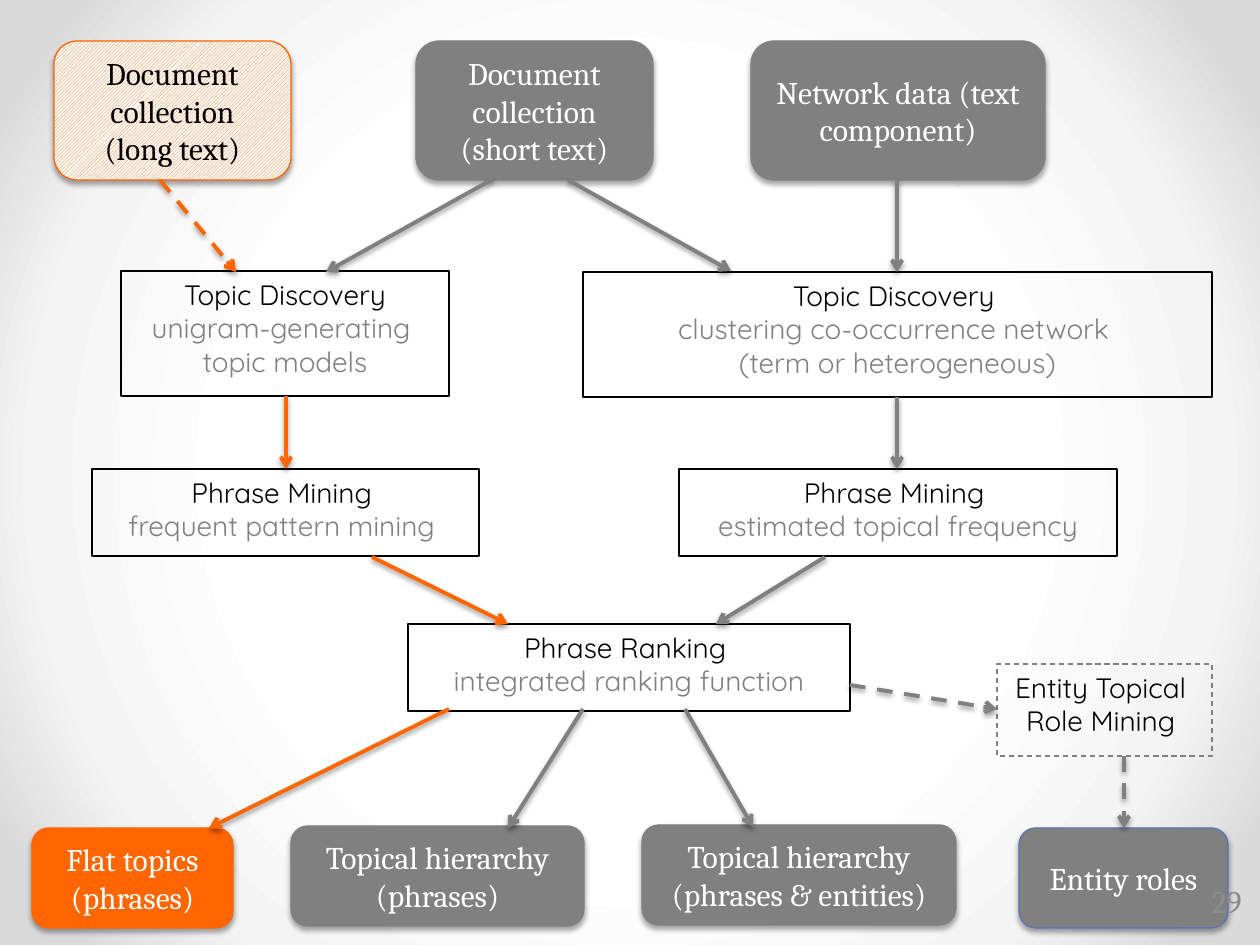
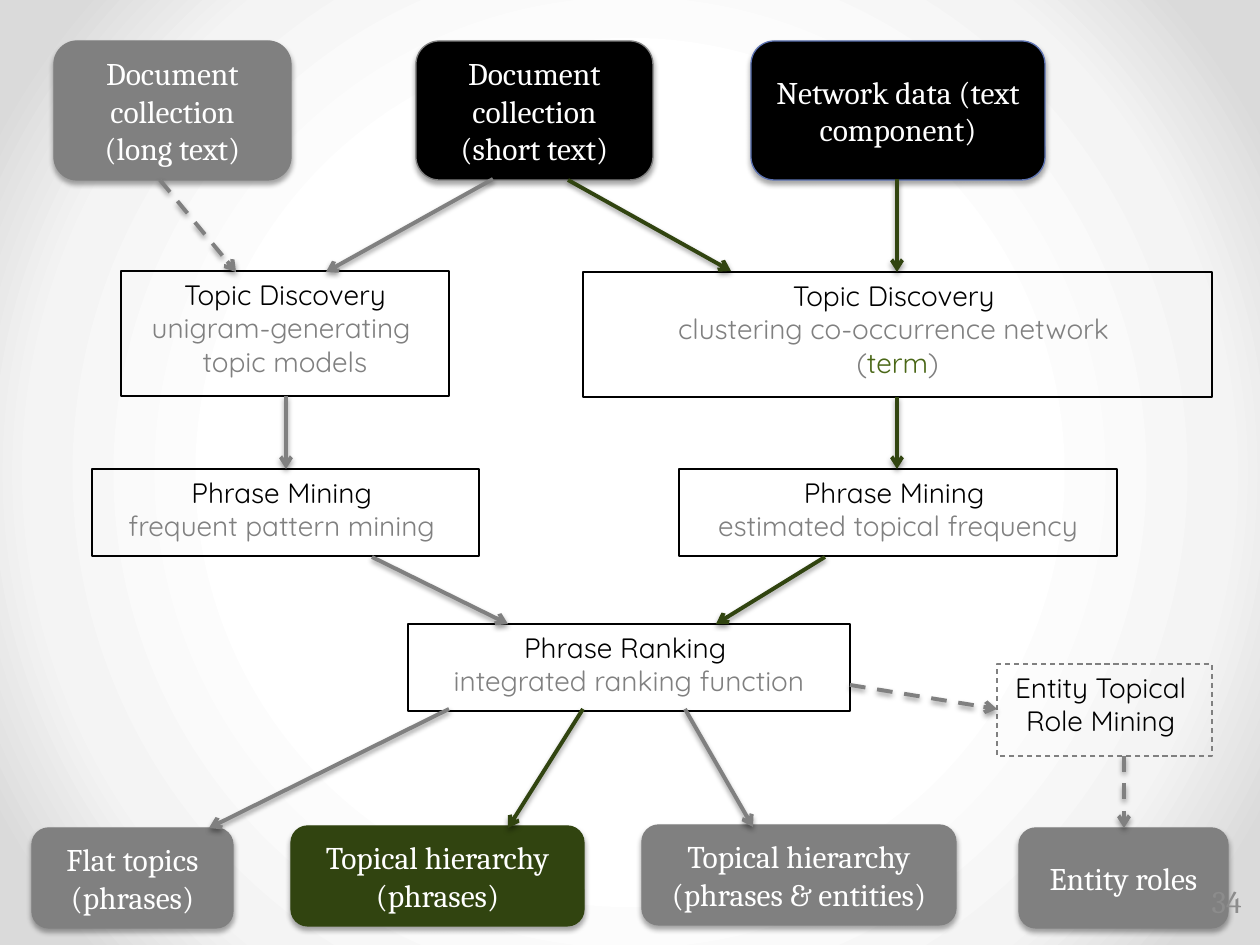
from dataclasses import dataclass

from pptx import Presentation
from pptx.dml.color import RGBColor
from pptx.enum.dml import MSO_LINE, MSO_PATTERN
from pptx.enum.shapes import MSO_CONNECTOR, MSO_SHAPE
from pptx.enum.text import MSO_ANCHOR, PP_ALIGN
from pptx.oxml import parse_xml
from pptx.oxml.ns import nsdecls, qn
from pptx.util import Emu, Pt

BLACK = RGBColor(0x00, 0x00, 0x00)
WHITE = RGBColor(0xFF, 0xFF, 0xFF)
GRAY = RGBColor(0x80, 0x80, 0x80)
NUMBER_GRAY = RGBColor(0x8C, 0x8C, 0x8C)
ORANGE = RGBColor(0xFF, 0x66, 0x00)
DARK_GREEN = RGBColor(0x31, 0x44, 0x10)
GREEN = RGBColor(0x4A, 0x67, 0x17)
BLUE = RGBColor(0x5C, 0x72, 0xB2)
SERIF = "Cambria"
SANS = "Quicksand"
BACKGROUND_STOPS = [(50, WHITE), (76, RGBColor(0xF4, 0xF4, 0xF4)), (92, RGBColor(0xDA, 0xDA, 0xDA))]


@dataclass(frozen=True)
class Box:
    """A rectangle in px."""
    left: int
    top: int
    width: int
    height: int

    def inside(self, left, top, width, height):
        """Return a box whose offset is measured from this one."""
        return Box(self.left + left, self.top + top, width, height)

    def emu(self):
        """Return the four lengths in EMU."""
        return [px(value) for value in (self.left, self.top, self.width, self.height)]


@dataclass(frozen=True)
class Look:
    """Colours of a rounded node."""
    fill: RGBColor = GRAY
    line: RGBColor = GRAY
    text: RGBColor = WHITE
    hatched: bool = False


SLIDE = Box(0, 0, 1260, 945)
SOURCES = Box(54, 41, 991, 139)
METHODS = Box(92, 271, 1121, 485)
RESULTS = Box(33, 825, 1195, 103)
NUMBER = Box(1177, 876, 77, 50)

SOURCE_NODES = {
    "long text": (0, 237, "Document collection (long text)"),
    "network": (697, 294, "Network data (text component)"),
    "short text": (362, 237, "Document collection (short text)"),
}
RESULT_NODES = {
    "hierarchy": (258, 1, 293, ["Topical hierarchy", "(phrases)"]),
    "flat": (-1, 3, 201, ["Flat topics", "(phrases)"]),
    "entity hierarchy": (609, 0, 314, ["Topical hierarchy", "(phrases & entities)"]),
    "roles": (986, 3, 209, ["Entity roles"]),
}
ARROWS = {
    "long to unigram": (160, 180, 236, 272),
    "short to unigram": (493, 179, 326, 272),
    "short to clustering": (568, 180, 731, 271),
    "network to clustering": (897, 179, 897, 272),
    "unigram to pattern": (286, 396, 286, 469),
    "clustering to frequency": (897, 397, 897, 469),
    "pattern to ranking": (372, 557, 508, 624),
    "frequency to ranking": (825, 557, 716, 624),
    "ranking to flat": (449, 709, 209, 828),
    "ranking to hierarchy": (583, 709, 508, 828),
    "ranking to entity hierarchy": (685, 709, 753, 827),
    "ranking to role mining": (850, 685, 997, 709),
    "role mining to roles": (1124, 756, 1124, 828),
}
DASHED_ARROWS = {"long to unigram", "ranking to role mining", "role mining to roles"}


@dataclass(frozen=True)
class Route:
    """What one slide highlights in the shared diagram."""
    number: str
    accent: RGBColor
    arrows: set
    looks: dict
    clustering_scope: list


ROUTES = [
    Route("29", ORANGE,
          {"long to unigram", "unigram to pattern", "pattern to ranking", "ranking to flat"},
          {"long text": Look(ORANGE, ORANGE, BLACK, hatched=True),
           "flat": Look(ORANGE, ORANGE),
           "roles": Look(line=BLUE)},
          [("(term or heterogeneous)", GRAY)]),
    Route("34", DARK_GREEN,
          {"short to clustering", "network to clustering", "clustering to frequency",
           "frequency to ranking", "ranking to hierarchy"},
          {"short text": Look(BLACK, GRAY),
           "network": Look(BLACK, BLUE),
           "hierarchy": Look(DARK_GREEN, DARK_GREEN)},
          [("(", GRAY), ("term", GREEN), (")", GRAY)]),
]


def px(value):
    """Turn px into EMU."""
    return Emu(round(value * 914400 / 126))


def write(shape, paragraphs, font, size, alignment, anchor):
    """Fill a shape with paragraphs made of (text, colour) runs."""
    frame = shape.text_frame
    frame.word_wrap = True
    frame.vertical_anchor = anchor
    for index, runs in enumerate(paragraphs):
        paragraph = frame.add_paragraph() if index else frame.paragraphs[0]
        paragraph.alignment = alignment
        for text, color in runs:
            run = paragraph.add_run()
            run.text = text
            run.font.name = font
            run.font.size = Pt(size)
            run.font.color.rgb = color


def add_shadow(shape, opacity, distance):
    """Add a soft shadow straight below the shape."""
    shape.element.spPr.append(parse_xml(
        f'<a:effectLst {nsdecls("a")}><a:outerShdw blurRad="{Pt(3.1)}" dist="{Pt(distance)}" '
        f'dir="5400000" rotWithShape="0"><a:srgbClr val="{BLACK}">'
        f'<a:alpha val="{opacity * 1000}"/></a:srgbClr></a:outerShdw></a:effectLst>'))


def paint_background(slide):
    """Give the slide a circular gradient from white to gray."""
    slide.background.fill.gradient()
    gradient = slide.element.xpath(".//p:bgPr/a:gradFill")[0]
    stops = "".join(f'<a:gs pos="{position * 1000}"><a:srgbClr val="{color}"/></a:gs>'
                    for position, color in BACKGROUND_STOPS)
    gradient.getparent().replace(gradient, parse_xml(
        f'<a:gradFill {nsdecls("a")} rotWithShape="1"><a:gsLst>{stops}</a:gsLst>'
        '<a:path path="circle"><a:fillToRect l="50000" t="50000" r="50000" b="50000"/>'
        '</a:path></a:gradFill>'))


def add_node(slide, box, lines, look):
    """Draw a rounded data node with a shadow."""
    shape = slide.shapes.add_shape(MSO_SHAPE.ROUNDED_RECTANGLE, *box.emu())
    if look.hatched:
        shape.fill.patterned()
        shape.fill.pattern = MSO_PATTERN.LIGHT_UPWARD_DIAGONAL
        shape.fill.fore_color.rgb = look.fill
        shape.fill.back_color.rgb = WHITE
    else:
        shape.fill.solid()
        shape.fill.fore_color.rgb = look.fill
    shape.line.color.rgb = look.line
    shape.line.width = Pt(0.75)
    add_shadow(shape, 35, 1.8)
    write(shape, [[(line, look.text)] for line in lines], SERIF, 18,
          PP_ALIGN.CENTER, MSO_ANCHOR.MIDDLE)


def add_method(slide, box, paragraphs, dashed=False):
    """Draw an outlined method box."""
    shape = slide.shapes.add_shape(MSO_SHAPE.RECTANGLE, *box.emu())
    shape.shadow.inherit = False
    shape.fill.background()
    shape.line.color.rgb = GRAY if dashed else BLACK
    shape.line.width = Pt(0.75)
    if dashed:
        shape.line.dash_style = MSO_LINE.DASH
    write(shape, paragraphs, SANS, 16, PP_ALIGN.CENTER, MSO_ANCHOR.TOP)


def draw_sources(slide, box, route):
    """Draw the row of input data."""
    for name, (left, width, text) in SOURCE_NODES.items():
        add_node(slide, box.inside(left, 0, width, box.height), [text],
                 route.looks.get(name, Look()))


def draw_methods(slide, box, route):
    """Draw the mining steps between inputs and results."""
    discovery = ("Topic Discovery ", BLACK)
    mining = [("Phrase Mining ", BLACK)]
    add_method(slide, box.inside(29, 0, 328, 125),
               [[discovery, ("unigram-generating ", GRAY)], [("topic models", GRAY)]])
    add_method(slide, box.inside(491, 1, 629, 125),
               [[discovery], [("clustering co-occurrence network ", GRAY)], route.clustering_scope])
    add_method(slide, box.inside(0, 198, 387, 87),
               [mining, [("frequent pattern mining ", GRAY)]])
    add_method(slide, box.inside(587, 198, 438, 87),
               [mining, [("estimated topical frequency", GRAY)]])
    add_method(slide, box.inside(316, 353, 442, 87),
               [[("Phrase Ranking ", BLACK)], [("integrated ranking function", GRAY)]])
    add_method(slide, box.inside(905, 393, 215, 92),
               [[("Entity Topical ", BLACK)], [("Role Mining ", BLACK)]], dashed=True)


def draw_results(slide, box, route):
    """Draw the row of outputs."""
    for name, (left, top, width, lines) in RESULT_NODES.items():
        add_node(slide, box.inside(left, top, width, 100), lines, route.looks.get(name, Look()))


def draw_arrows(slide, box, route):
    """Draw the arrows, with the highlighted ones in the accent colour."""
    for name, (start_x, start_y, end_x, end_y) in ARROWS.items():
        arrow = slide.shapes.add_connector(
            MSO_CONNECTOR.STRAIGHT, px(box.left + start_x), px(box.top + start_y),
            px(box.left + end_x), px(box.top + end_y))
        arrow.line.color.rgb = route.accent if name in route.arrows else GRAY
        arrow.line.width = Pt(2.25)
        if name in DASHED_ARROWS:
            arrow.line.dash_style = MSO_LINE.DASH
        arrow.element.spPr.find(qn("a:ln")).append(
            parse_xml(f'<a:tailEnd {nsdecls("a")} type="arrow"/>'))
        add_shadow(arrow, 38, 1.6)


def draw_number(slide, box, number):
    """Write the slide number."""
    shape = slide.shapes.add_textbox(*box.emu())
    write(shape, [[(number, NUMBER_GRAY)]], SERIF, 18, PP_ALIGN.RIGHT, MSO_ANCHOR.MIDDLE)


def build_slide(presentation, route):
    """Add one slide of the diagram."""
    slide = presentation.slides.add_slide(presentation.slide_layouts[6])
    paint_background(slide)
    draw_methods(slide, METHODS, route)
    draw_results(slide, RESULTS, route)
    draw_sources(slide, SOURCES, route)
    draw_arrows(slide, SLIDE, route)
    draw_number(slide, NUMBER, route.number)


def main():
    """Build and save the presentation."""
    presentation = Presentation()
    presentation.slide_width = px(SLIDE.width)
    presentation.slide_height = px(SLIDE.height)
    for route in ROUTES:
        build_slide(presentation, route)
    presentation.save("out.pptx")


if __name__ == "__main__":
    main()
